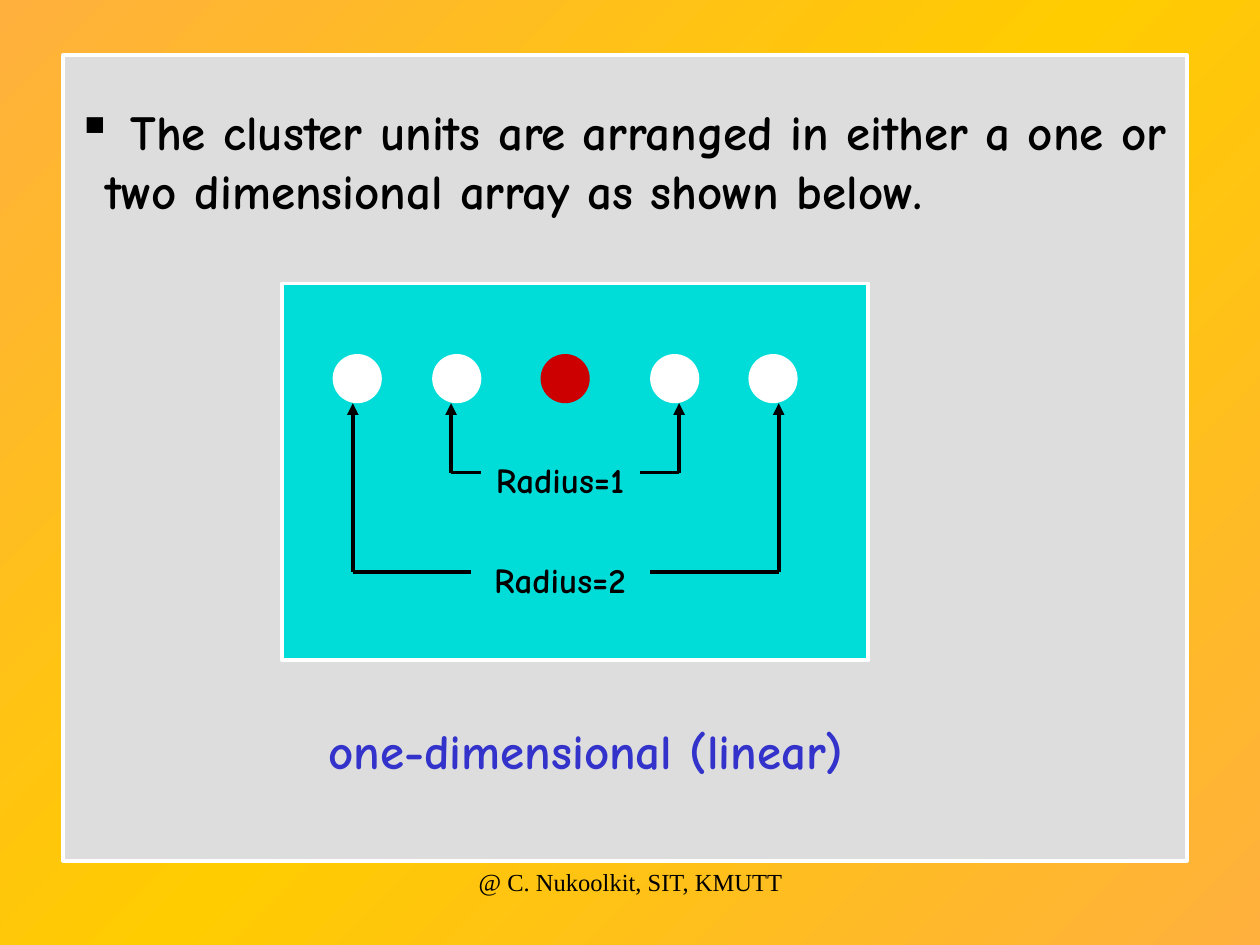
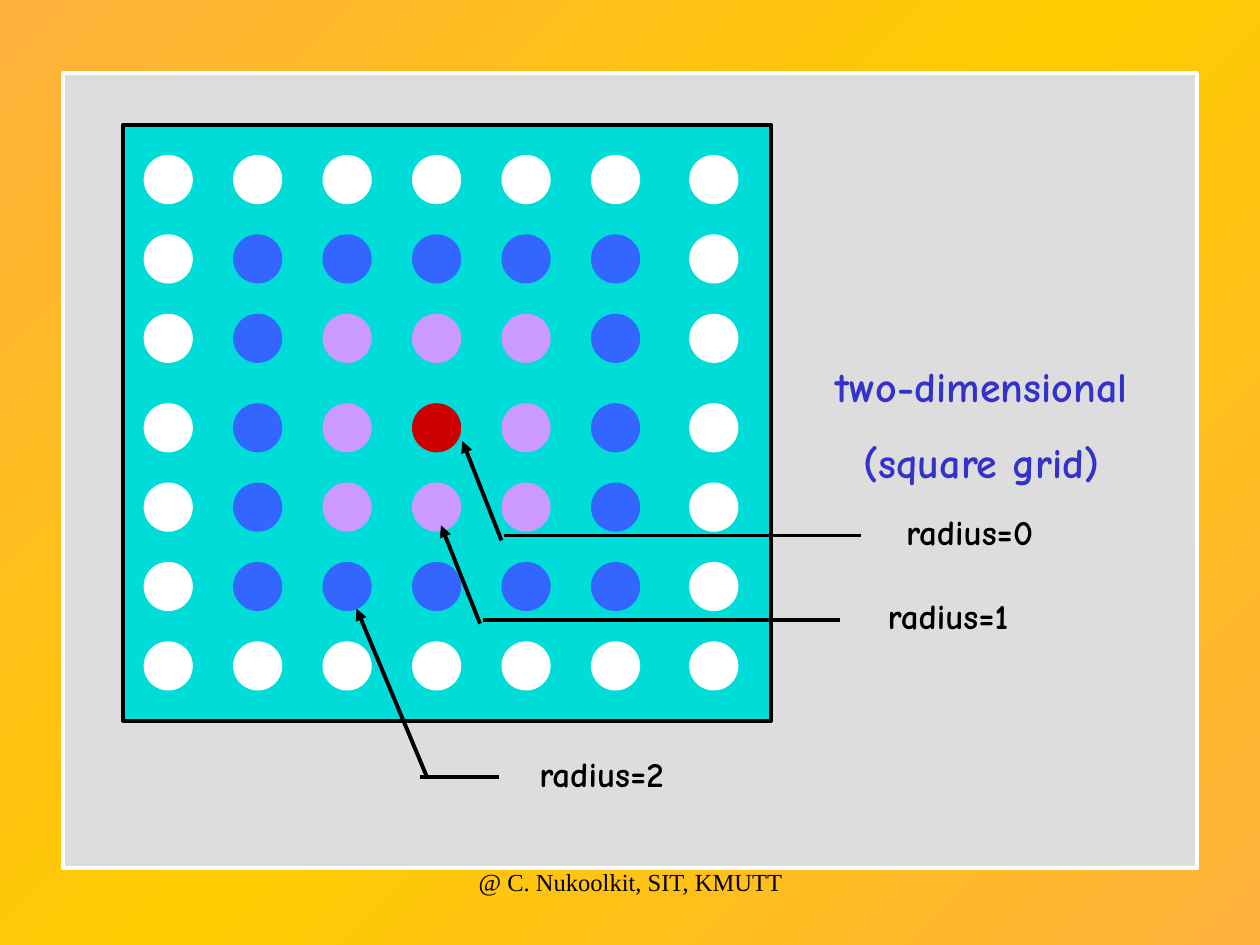
import pptx
import pptx.util
import pptx.dml.color
import pptx.enum.shapes
import pptx.enum.text
import pptx.oxml.ns
import copy
from lxml import etree

RGBColor = pptx.dml.color.RGBColor
ORANGE = RGBColor(0xFF, 0xB0, 0x3D)
YELLOW = RGBColor(0xFF, 0xCC, 0x00)
GREY = RGBColor(0xDD, 0xDD, 0xDD)
CYAN = RGBColor(0x00, 0xDD, 0xD8)
WHITE = RGBColor(0xFF, 0xFF, 0xFF)
BLACK = RGBColor(0x00, 0x00, 0x00)
RED = RGBColor(0xCC, 0x00, 0x00)
VIOLET = RGBColor(0xCC, 0x99, 0xFF)
BLUE = RGBColor(0x33, 0x66, 0xFF)
INDIGO = RGBColor(0x33, 0x33, 0xCC)
RING_COLORS = [RED, VIOLET, BLUE, WHITE]

RECT = pptx.enum.shapes.MSO_SHAPE.RECTANGLE
OVAL = pptx.enum.shapes.MSO_SHAPE.OVAL
STRAIGHT = pptx.enum.shapes.MSO_CONNECTOR.STRAIGHT
LEFT = pptx.enum.text.PP_ALIGN.LEFT
CENTER = pptx.enum.text.PP_ALIGN.CENTER
BODY_FONT = "Comic Neue"
FOOTER_FONT = "Times New Roman"
LINE_WIDTH = pptx.util.Pt(2.25)
qn = pptx.oxml.ns.qn

prs = pptx.Presentation()
prs.slide_width = pptx.util.Inches(10)
prs.slide_height = pptx.util.Inches(7.5)
COL = prs.slide_width / 100
ROW = prs.slide_height / 75
UNIT = 3.9


def add_shape(s, kind, x, y, w, h, fill, line=None):
    sp = s.shapes.add_shape(kind, int(x * COL), int(y * ROW), int(w * COL), int(h * ROW))
    sp.shadow.inherit = False
    sp.fill.solid()
    sp.fill.fore_color.rgb = fill
    if line is None:
        sp.line.fill.background()
    else:
        sp.line.color.rgb = line
        sp.line.width = LINE_WIDTH


def add_text(s, x, y, w, h, text, size, color=BLACK, align=CENTER, font=BODY_FONT):
    sp = s.shapes.add_textbox(int(x * COL), int(y * ROW), int(w * COL), int(h * ROW))
    tf = sp.text_frame
    tf.word_wrap = True
    tf.text = text
    for i, p in enumerate(tf.paragraphs):
        p.alignment = align
        if i:
            p.space_before = pptx.util.Pt(size * 0.625)
        for r in p.runs:
            r.font.size = pptx.util.Pt(size)
            r.font.name = font
            r.font.bold = font == BODY_FONT
            r.font.color.rgb = color
    return tf


fill = prs.slide_master.background.fill
fill.gradient()
fill.gradient_angle = 135
gs_list = prs.slide_master.element.find(".//" + qn("p:bg")).find(".//" + qn("a:gsLst"))
gs_list.insert(1, copy.deepcopy(gs_list[0]))
for stop, position, color in zip(fill.gradient_stops, (0, 0.5, 1), (ORANGE, YELLOW, ORANGE)):
    stop.position = position
    stop.color.rgb = color

linear = prs.slides.add_slide(prs.slide_layouts[6])
square = prs.slides.add_slide(prs.slide_layouts[6])

add_shape(linear, RECT, 5, 4.4, 89.2, 63.9, GREY, WHITE)
add_shape(linear, RECT, 22.4, 22.5, 46.5, 29.9, CYAN, WHITE)
for i, x in enumerate((26.4, 34.3, 42.9, 51.6, 59.4)):
    add_shape(linear, OVAL, x, 28.1, UNIT, UNIT, RING_COLORS[0 if i == 2 else 3])

tf = add_text(linear, 5.1, 7.6, 89, 10.4,
              " The cluster units are arranged in either a one or two dimensional array as shown below.",
              28, align=LEFT)
pPr = tf.paragraphs[0]._p.get_or_add_pPr()
pPr.set("marL", str(int(2.3 * COL)))
pPr.set("indent", str(int(-2.3 * COL)))
bullet_color = etree.SubElement(pPr, qn("a:buClr"))
etree.SubElement(bullet_color, qn("a:srgbClr"), val=str(BLACK))
etree.SubElement(pPr, qn("a:buChar"), char="▪")
add_text(linear, 35, 35.9, 18.9, 4.4, "Radius=1", 20)
add_text(linear, 35, 43.8, 18.9, 4.4, "Radius=2", 20)
add_text(linear, 21.7, 56.7, 49.6, 5.7, "one-dimensional (linear)", 28, INDIGO)

add_shape(square, RECT, 5, 5.8, 90, 63.1, GREY, WHITE)
add_shape(square, RECT, 9.8, 9.9, 51.4, 47.3, CYAN, BLACK)
for row in range(7):
    for col in range(7):
        x = 11.4 + 7.1 * col + (0.7 if col == 6 else 0)
        y = 12.3 + 6.3 * row + (0.8 if row >= 3 else 0)
        radius = max(abs(row - 3), abs(col - 3))
        add_shape(square, OVAL, x, y, UNIT, UNIT, RING_COLORS[radius])

add_text(square, 60.2, 28.1, 35.4, 11.1, "two-dimensional\n(square grid)", 24, INDIGO)
for radius, (x, y) in enumerate([(67.5, 40), (65.8, 46.7), (38.3, 59.2)]):
    add_text(square, x, y, 18.9, 4.4, f"radius={radius}", 20)

LINES = [
    (linear, 35.8, 37.5, 35.8, 32, True),
    (linear, 53.9, 37.5, 53.9, 32, True),
    (linear, 35.8, 37.5, 38.2, 37.5, False),
    (linear, 50.8, 37.5, 53.9, 37.5, False),
    (linear, 28, 45.4, 37.4, 45.4, False),
    (linear, 51.6, 45.4, 61.8, 45.4, False),
    (linear, 28, 45.4, 28, 32, True),
    (linear, 61.8, 45.4, 61.8, 32, True),
    (square, 38.3, 49.2, 66.7, 49.2, False),
    (square, 38.1, 49.5, 35, 41.7, True),
    (square, 33.9, 61.7, 28.3, 48.3, True),
    (square, 33.3, 61.7, 39.6, 61.7, False),
    (square, 39.8, 42.9, 36.7, 35, True),
    (square, 40, 42.5, 68.3, 42.5, False),
]
for s, x1, y1, x2, y2, arrow in LINES:
    c = s.shapes.add_connector(STRAIGHT, int(x1 * COL), int(y1 * ROW), int(x2 * COL), int(y2 * ROW))
    c.line.color.rgb = BLACK
    c.line.width = LINE_WIDTH
    spPr = c._element.spPr
    if arrow:
        etree.SubElement(spPr.find(qn("a:ln")), qn("a:tailEnd"), type="triangle")
    etree.SubElement(spPr, qn("a:effectLst"))

for s in prs.slides:
    add_text(s, 34.2, 68.3, 31.7, 5, "@ C. Nukoolkit, SIT, KMUTT", 14, font=FOOTER_FONT)

prs.save("out.pptx")
